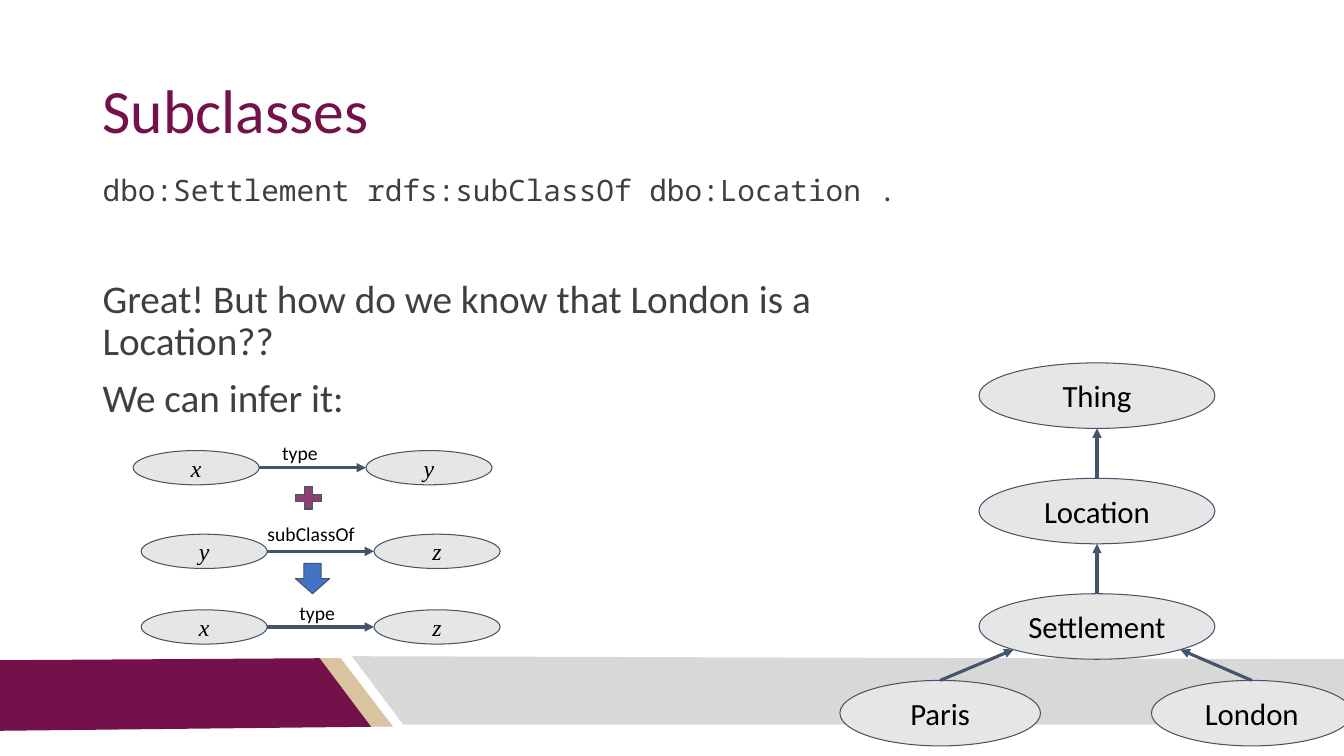
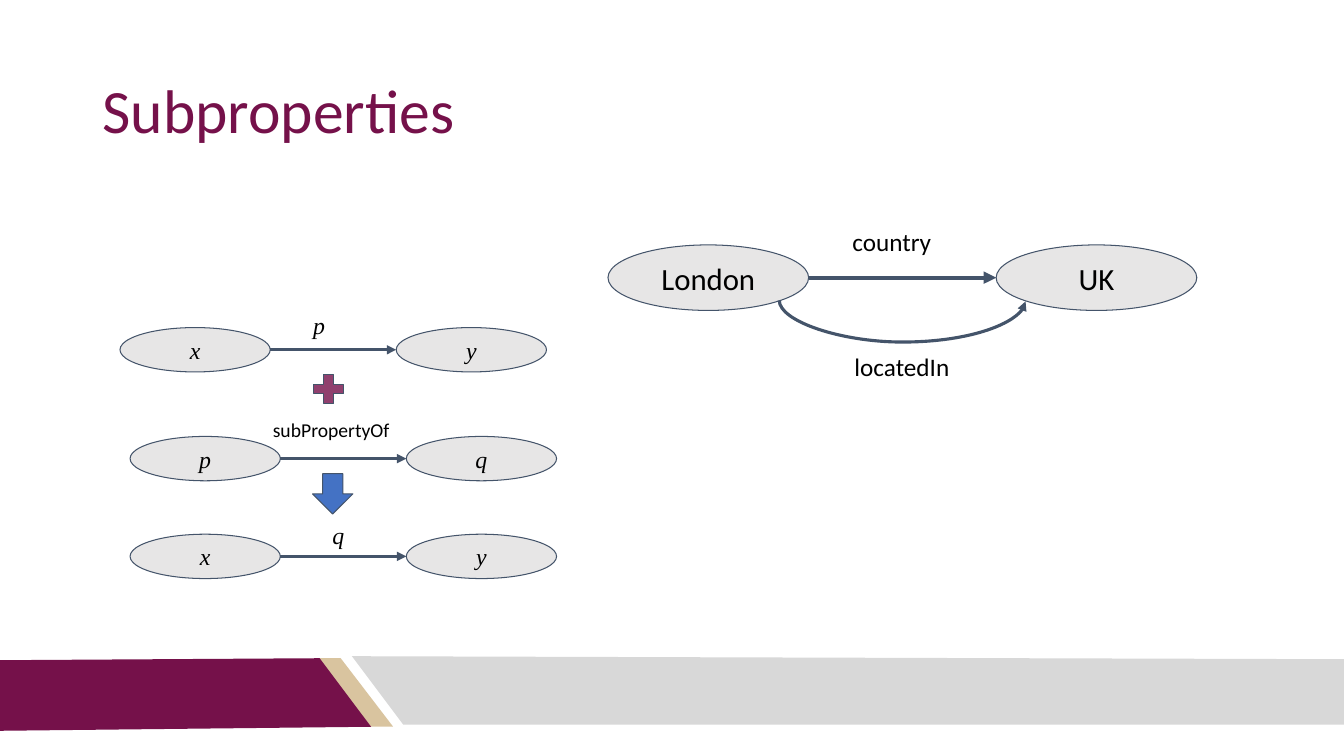
import dataclasses
import math
import typing

import lxml.etree
import pptx
import pptx.dml.color
import pptx.enum.shapes
import pptx.enum.text
import pptx.oxml.ns
import pptx.shapes.autoshape
import pptx.shapes.connector
import pptx.slide
import pptx.text.text
import pptx.util

Inches = pptx.util.Inches
Pt = pptx.util.Pt
Shapes = pptx.enum.shapes.MSO_SHAPE
Connectors = pptx.enum.shapes.MSO_CONNECTOR
Align = pptx.enum.text.PP_ALIGN
Anchor = pptx.enum.text.MSO_ANCHOR
qn = pptx.oxml.ns.qn
Oval = pptx.shapes.autoshape.Shape
Connector = pptx.shapes.connector.Connector

# Connection sites of an ellipse run counterclockwise from the top.
TOP, LEFT, LOWER_LEFT, BOTTOM, LOWER_RIGHT, RIGHT, UPPER_RIGHT = 0, 2, 3, 4, 5, 6, 7


@dataclasses.dataclass(frozen=True)
class Style:
    font: str
    size: float
    color: str = "000000"
    italic: bool = False


@dataclasses.dataclass(frozen=True)
class Theme:
    plum: str = "75114A"
    sand: str = "D9C49F"
    silver: str = "D8D8D8"
    node: str = "E7E6E6"
    slate: str = "44546A"
    blue: str = "4472C4"
    outline: float = 0.75
    arrow: float = 2.25
    bold_arrow: float = 3
    title: Style = Style("Calibri", 44, "75114A")
    code: Style = Style("Noto Sans Mono", 21, "3F3F3F")
    body: Style = Style("Calibri", 28, "3F3F3F")
    entity: Style = Style("Calibri", 22)
    relation: Style = Style("Calibri", 18)
    small: Style = Style("Calibri", 14)
    variable: Style = Style("Times New Roman", 17, italic=True)


THEME = Theme()


class Area(typing.NamedTuple):
    left: float
    top: float
    width: float
    height: float

    def lengths(self) -> list[int]:
        return [Inches(value) for value in self]


class Band(typing.NamedTuple):
    color: str
    points: list[tuple[float, float]]


class Line(typing.NamedTuple):
    text: str
    style: Style
    space_before: float = 0


class Triple(typing.NamedTuple):
    left: float
    top: float
    subject: str
    relation: str
    target: str
    label: Area
    label_style: Style


@dataclasses.dataclass(frozen=True)
class Inference:
    """Two premises and a conclusion, with the signs between them."""
    node_width: float
    node_height: float
    step: float
    triples: list[Triple]
    plus: Area
    down: Area


BANDS = [
    Band(THEME.sand, [(3.16, 6.53), (3.38, 6.53), (3.9, 7.21), (3.67, 7.21)]),
    Band(THEME.plum, [(-0.01, 6.55), (3.17, 6.53), (3.68, 7.21), (-0.01, 7.25)]),
    Band(THEME.silver, [(13.37, 7.19), (4, 7.19), (3.49, 6.51), (13.34, 6.54)]),
]

SUBCLASS_RULE = Inference(
    1.25, 0.34, 2.31,
    [
        Triple(1.32, 4.47, "x", "type", "y", Area(2.45, 4.27, 1.05, 0.44), THEME.small),
        Triple(1.4, 5.3, "y", "subClassOf", "z", Area(2.46, 5.08, 1.25, 0.44), THEME.small),
        Triple(1.4, 6.05, "x", "type", "z", Area(2.62, 5.86, 1.05, 0.44), THEME.small),
    ],
    Area(2.89, 4.79, 0.34, 0.3), Area(2.93, 5.59, 0.34, 0.3),
)

SUBPROPERTY_RULE = Inference(
    1.49, 0.44, 2.74,
    [
        Triple(1.19, 3.25, "x", "p", "y", Area(2.54, 2.98, 1.25, 0.49), THEME.variable),
        Triple(1.29, 4.33, "p", "subPropertyOf", "q", Area(2.54, 4.05, 1.49, 0.44), THEME.small),
        Triple(1.29, 5.3, "x", "q", "y", Area(2.73, 5.07, 1.25, 0.49), THEME.variable),
    ],
    Area(3.06, 3.66, 0.4, 0.4), Area(3.1, 4.7, 0.4, 0.4),
)


def rgb(color: str) -> pptx.dml.color.RGBColor:
    return pptx.dml.color.RGBColor.from_string(color)


def set_frame(frame: pptx.text.text.TextFrame, anchor: Anchor) -> None:
    frame.word_wrap = True
    frame.vertical_anchor = anchor
    frame.margin_left = frame.margin_right = Inches(0.1)
    frame.margin_top = frame.margin_bottom = Inches(0.1)


def write(para: pptx.text.text._Paragraph, text: str, style: Style, align: Align) -> None:
    para.text = text
    para.alignment = align
    para.font.name = style.font
    para.font.size = Pt(style.size)
    para.font.italic = style.italic
    para.font.color.rgb = rgb(style.color)


def add_text(page: pptx.slide.Slide, area: Area, lines: list[Line],
             anchor: Anchor = Anchor.TOP) -> None:
    """Left-aligned text with tight line spacing."""
    frame = page.shapes.add_textbox(*area.lengths()).text_frame
    set_frame(frame, anchor)
    for index, line in enumerate(lines):
        para = frame.add_paragraph() if index else frame.paragraphs[0]
        write(para, line.text, line.style, Align.LEFT)
        para.line_spacing = 0.9
        if line.space_before:
            para.space_before = Pt(line.space_before)


def add_label(page: pptx.slide.Slide, area: Area, text: str, style: Style) -> None:
    frame = page.shapes.add_textbox(*area.lengths()).text_frame
    set_frame(frame, Anchor.TOP)
    write(frame.paragraphs[0], text, style, Align.CENTER)


def add_outlined(page: pptx.slide.Slide, kind: Shapes, area: Area, color: str) -> Oval:
    shape = page.shapes.add_shape(kind, *area.lengths())
    shape.shadow.inherit = False
    shape.fill.solid()
    shape.fill.fore_color.rgb = rgb(color)
    shape.line.color.rgb = rgb(THEME.slate)
    shape.line.width = Pt(THEME.outline)
    return shape


def add_node(page: pptx.slide.Slide, area: Area, text: str, style: Style) -> Oval:
    oval = add_outlined(page, Shapes.OVAL, area, THEME.node)
    set_frame(oval.text_frame, Anchor.MIDDLE)
    write(oval.text_frame.paragraphs[0], text, style, Align.CENTER)
    return oval


def site_point(oval: Oval, site: int) -> tuple[int, int]:
    angle = math.radians(90 + 45 * site)
    return (round(oval.left + oval.width / 2 * (1 + math.cos(angle))),
            round(oval.top + oval.height / 2 * (1 - math.sin(angle))))


def finish_arrow(arrow: Connector, width: float, source: Oval, source_site: int,
                 target: Oval, target_site: int) -> None:
    """Style the arrow and join it to the sites of both ellipses."""
    arrow.line.color.rgb = rgb(THEME.slate)
    arrow.line.width = Pt(width)
    lxml.etree.SubElement(arrow.line._get_or_add_ln(), qn("a:tailEnd"), type="triangle")
    lxml.etree.SubElement(arrow._element.spPr, qn("a:effectLst"))
    joints = arrow._element.nvCxnSpPr.cNvCxnSpPr
    for tag, oval, site in (("a:stCxn", source, source_site), ("a:endCxn", target, target_site)):
        lxml.etree.SubElement(joints, qn(tag), id=str(oval.shape_id), idx=str(site))


def add_arrow(page: pptx.slide.Slide, source: Oval, source_site: int, target: Oval,
              target_site: int, width: float = THEME.arrow) -> None:
    arrow = page.shapes.add_connector(
        Connectors.STRAIGHT, *site_point(source, source_site), *site_point(target, target_site))
    finish_arrow(arrow, width, source, source_site, target, target_site)


def add_sagging_arrow(page: pptx.slide.Slide, source: Oval, target: Oval, depth: float) -> None:
    """Curve below two ellipses that stand side by side."""
    start_x, y = site_point(source, LOWER_RIGHT)
    end_x, _ = site_point(target, LOWER_LEFT)
    middle, reach = (start_x + end_x) // 2, (end_x - start_x) // 2
    thickness = Inches(0.01)
    arrow = page.shapes.add_connector(
        Connectors.CURVE, middle + thickness // 2, y - reach, middle - thickness // 2, y + reach)
    properties = arrow._element.spPr
    properties.find(qn("a:xfrm")).set("rot", str(270 * 60000))
    bend = round(Inches(depth) / thickness * 100000)
    guides = properties.find(qn("a:prstGeom")).find(qn("a:avLst"))
    lxml.etree.SubElement(guides, qn("a:gd"), name="adj1", fmla=f"val {bend}")
    finish_arrow(arrow, THEME.arrow, source, LOWER_RIGHT, target, LOWER_LEFT)


def add_inference(page: pptx.slide.Slide, rule: Inference) -> None:
    for triple in rule.triples:
        subject, target = [
            add_node(page, Area(left, triple.top, rule.node_width, rule.node_height),
                     text, THEME.variable)
            for left, text in ((triple.left, triple.subject),
                               (triple.left + rule.step, triple.target))
        ]
        add_arrow(page, subject, RIGHT, target, LEFT)
        add_label(page, triple.label, triple.relation, triple.label_style)
    plus = add_outlined(page, Shapes.MATH_PLUS, rule.plus, THEME.plum)
    color = plus._element.spPr.find(qn("a:solidFill")).find(qn("a:srgbClr"))
    lxml.etree.SubElement(color, qn("a:alpha"), val="80000")
    add_outlined(page, Shapes.DOWN_ARROW, rule.down, THEME.blue)


def add_page(deck: pptx.presentation.Presentation, title: str) -> pptx.slide.Slide:
    """Blank page with the footer bands and a title."""
    page = deck.slides.add_slide(deck.slide_layouts[6])
    for band in BANDS:
        start, *rest = [(Inches(x), Inches(y)) for x, y in band.points]
        builder = page.shapes.build_freeform(*start)
        builder.add_line_segments(rest, close=True)
        shape = builder.convert_to_shape()
        shape.shadow.inherit = False
        shape.fill.solid()
        shape.fill.fore_color.rgb = rgb(band.color)
        shape.line.fill.background()
    add_text(page, Area(0.92, 0.4, 11.5, 1.45), [Line(title, THEME.title)], Anchor.MIDDLE)
    return page


def add_subclasses(deck: pptx.presentation.Presentation) -> None:
    page = add_page(deck, "Subclasses")
    add_text(page, Area(0.92, 1.65, 8.46, 2.75), [
        Line("dbo:Settlement rdfs:subClassOf dbo:Location .", THEME.code),
        Line("Great! But how do we know that London is a Location??", THEME.body, 51),
        Line("We can infer it:", THEME.body, 10),
    ])
    paris, london = [
        add_node(page, Area(left, 6.75, 1.99, 0.65), name, THEME.entity)
        for left, name in ((8.33, "Paris"), (11.42, "London"))
    ]
    classes = [
        add_node(page, Area(9.71, 5.89 - 1.145 * level, 2.34, 0.65), name, THEME.entity)
        for level, name in enumerate(("Settlement", "Location", "Thing"))
    ]
    add_arrow(page, paris, TOP, classes[0], LOWER_LEFT)
    add_arrow(page, london, TOP, classes[0], LOWER_RIGHT)
    for child, parent in zip(classes, classes[1:]):
        add_arrow(page, child, TOP, parent, BOTTOM)
    add_inference(page, SUBCLASS_RULE)


def add_subproperties(deck: pptx.presentation.Presentation) -> None:
    page = add_page(deck, "Subproperties")
    london, country = [
        add_node(page, Area(left, 2.43, 1.99, 0.65), name, THEME.entity)
        for left, name in ((6.03, "London"), (9.88, "UK"))
    ]
    add_arrow(page, london, RIGHT, country, LEFT, THEME.bold_arrow)
    add_label(page, Area(8.24, 2.15, 1.21, 0.5), "country", THEME.relation)
    add_sagging_arrow(page, london, country, 0.42)
    add_label(page, Area(8.34, 3.39, 1.21, 0.5), "locatedIn", THEME.relation)
    add_inference(page, SUBPROPERTY_RULE)


def main() -> None:
    deck = pptx.Presentation()
    deck.slide_width, deck.slide_height = Inches(13.33), Inches(7.5)
    add_subclasses(deck)
    add_subproperties(deck)
    deck.save("out.pptx")


if __name__ == "__main__":
    main()
